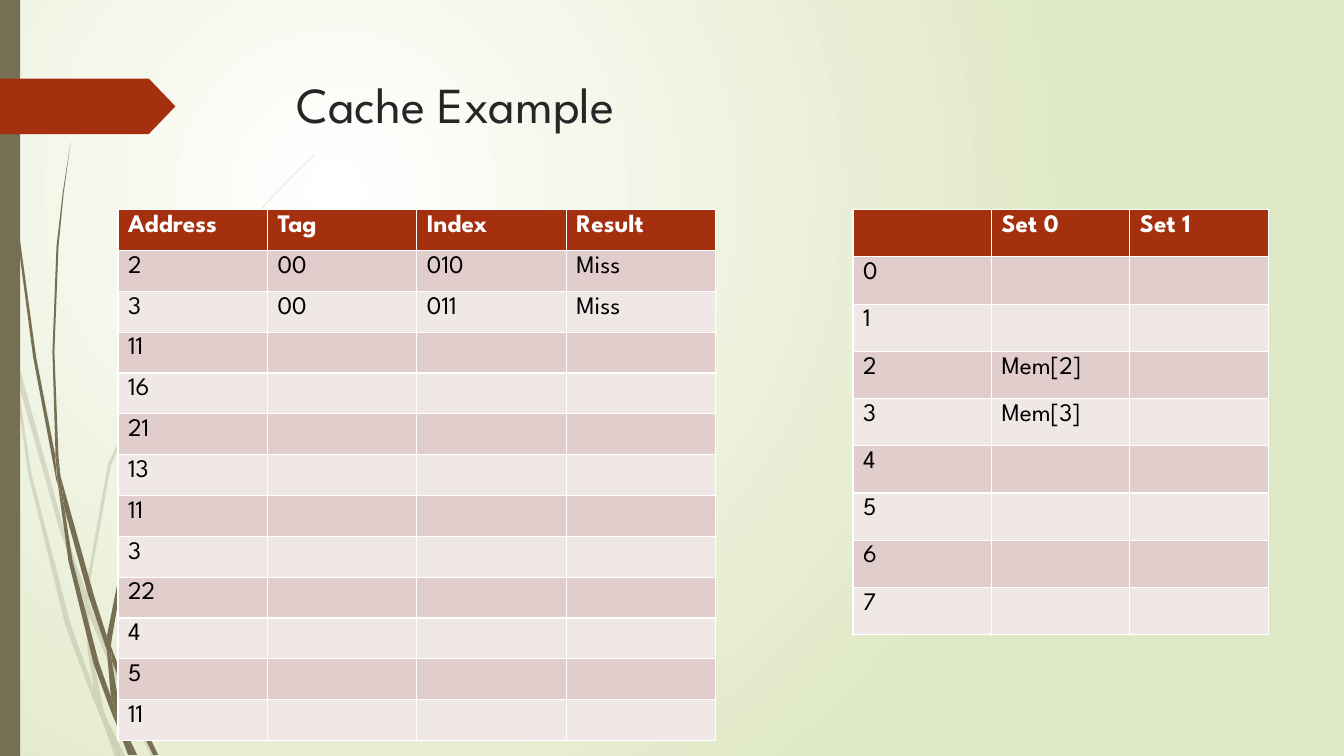
from lxml.etree import SubElement as Sub
from pptx import Presentation
from pptx.dml.color import RGBColor as Rgb
from pptx.enum.shapes import MSO_SHAPE as Kind
from pptx.oxml.ns import qn
from pptx.util import Inches, Pt

COLORS = {
    "white": "FFFFFF", "pale": "DFE8C4", "stem": "766F54", "rust": "A53010",
    "title": "262626", "ink": "000000", "dark": "E1CDCC", "light": "F0E8E7",
}

# Corners of each grass blade, in hundredths of an inch.
FAINT = [
    "11,350 9,322 0,282 0,299 10,344",
    "58,522 84,599 85,586 62,520 14,345 17,376",
    "92,607 88,596 88,610 123,694 150,750 155,750 127,692",
    "119,750 124,750 105,711",
    "93,683 70,619 31,469 17,376 11,350 28,470 65,621 92,693 101,714 99,707",
    "84,599 87,646 93,683 96,692 105,711 103,706 91,646 88,610 88,608",
    "88,584 110,462 160,349 229,245 268,198 290,175 312,154 312,153 289,175 "
    "268,197 228,244 158,348 107,461 85,584 85,586 88,596",
    "101,714 114,750 119,750",
    "88,608 88,610 88,596 85,586 84,599",
    "96,692 93,683 99,707 101,714 119,750 105,711",
]
SOLID = [
    "7,110 17,233 33,355 56,477 57,481 55,457 55,453 36,355 19,232 8,109 "
    "5,48 4,0 3,0 4,48",
    "88,592 106,645 106,633 106,631 93,590 60,472 64,505",
    "113,649 110,641 111,656 132,708 152,749 157,749 136,706",
    "110,691 98,657 72,556 64,505 57,477 68,557 93,659 111,708 117,722 116,717",
    "60,472 58,453 54,349 58,245 63,193 70,141 62,193 56,245 52,349 55,449",
    "133,749 136,749 122,719",
    "57,477 64,505 60,472 55,449 55,453",
    "111,633 125,552 158,476 205,406 231,374 245,359 261,344 260,344 245,358 "
    "231,373 204,405 156,474 122,551 106,631 110,641",
    "117,722 127,749 131,749",
    "106,645 110,691 116,706 122,719 121,716 111,656 109,651",
    "106,645 109,651 111,656 110,641 106,631 106,633",
    "116,706 110,691 116,717 117,722 130,749 133,749 122,719",
]

LOOKUPS = [["Address", "Tag", "Index", "Result"],
           ["2", "00", "010", "Miss"], ["3", "00", "011", "Miss"]]
LOOKUPS += [[n] for n in "11 16 21 13 11 3 22 4 5 11".split()]
SETS = [["", "Set 0", "Set 1"]] + [[str(n)] for n in range(8)]
SETS[3].append("Mem[2]")
SETS[4].append("Mem[3]")


def color(name):
    return Rgb.from_string(COLORS[name])


def write(frame, text, size=18, ink="ink", bold=False, font="League Spartan"):
    run = frame.paragraphs[0].add_run()
    run.text = text
    run.font.name, run.font.size, run.font.bold = font, Pt(size), bold
    run.font.color.rgb = color(ink)


class Deck:
    def __init__(self):
        self.show = Presentation()
        self.show.slide_width, self.show.slide_height = Inches(13.33), Inches(7.5)
        self.slide = self.show.slides.add_slide(self.show.slide_layouts[6])
        self.shapes = self.slide.shapes

    def glow(self, inner, outer):
        """Fill the background with a circular gradient."""
        fill = self.slide.background.fill
        fill.gradient()
        for stop, name in zip(fill.gradient_stops, (inner, outer)):
            stop.color.rgb = color(name)
        grad = self.slide._element.find(".//" + qn("a:gradFill"))
        grad.remove(grad.find(qn("a:lin")))
        ring = Sub(grad, qn("a:path"), path="circle")
        Sub(ring, qn("a:fillToRect"), l="50000", t="50000", r="100000", b="100000")

    def paint(self, shape, name, alpha=100):
        shape.shadow.inherit = False
        shape.line.fill.background()
        shape.fill.solid()
        shape.fill.fore_color.rgb = color(name)
        if alpha < 100:
            tone = shape._element.spPr.find(".//" + qn("a:srgbClr"))
            Sub(tone, qn("a:alpha"), val=str(alpha * 1000))

    def blade(self, text, alpha=100):
        first, *rest = [tuple(map(int, pair.split(","))) for pair in text.split()]
        form = self.shapes.build_freeform(*first, scale=Inches(0.01))
        form.add_line_segments(rest, close=True)
        self.paint(form.convert_to_shape(), "stem", alpha)

    def block(self, kind, box, name):
        shape = self.shapes.add_shape(kind, *map(Inches, box))
        self.paint(shape, name)
        return shape

    def text(self, box, text, **style):
        frame = self.shapes.add_textbox(*map(Inches, box)).text_frame
        frame.word_wrap = True
        write(frame, text, **style)

    def table(self, box, rows):
        """Add a table; short rows leave their last cells empty."""
        grid = self.shapes.add_table(len(rows), len(rows[0]), *map(Inches, box)).table
        for r, row in enumerate(rows):
            head = r == 0
            back = "rust" if head else "dark" if r % 2 else "light"
            for c, cell in enumerate(grid.rows[r].cells):
                cell.fill.solid()
                cell.fill.fore_color.rgb = color(back)
                if c < len(row) and row[c]:
                    write(cell.text_frame, row[c], ink="white" if head else "ink", bold=head)


def main():
    deck = Deck()
    deck.glow("white", "pale")
    for text in FAINT:
        deck.blade(text, alpha=20)
    for text in SOLID:
        deck.blade(text)
    deck.block(Kind.RECTANGLE, (0, 0, 0.2, 7.5), "stem")
    arrow = deck.block(Kind.PENTAGON, (0, 0.78, 1.74, 0.55), "rust")
    arrow.adjustments[0] = 0.48
    deck.text((2.84, 0.68, 9.75, 1.4), "Cache Example", size=36, ink="title")
    deck.table((8.46, 2.08, 4.12, 4.22), SETS)
    deck.table((1.17, 2.08, 5.93, 5.27), LOOKUPS)
    deck.show.save("out.pptx")


if __name__ == "__main__":
    main()
